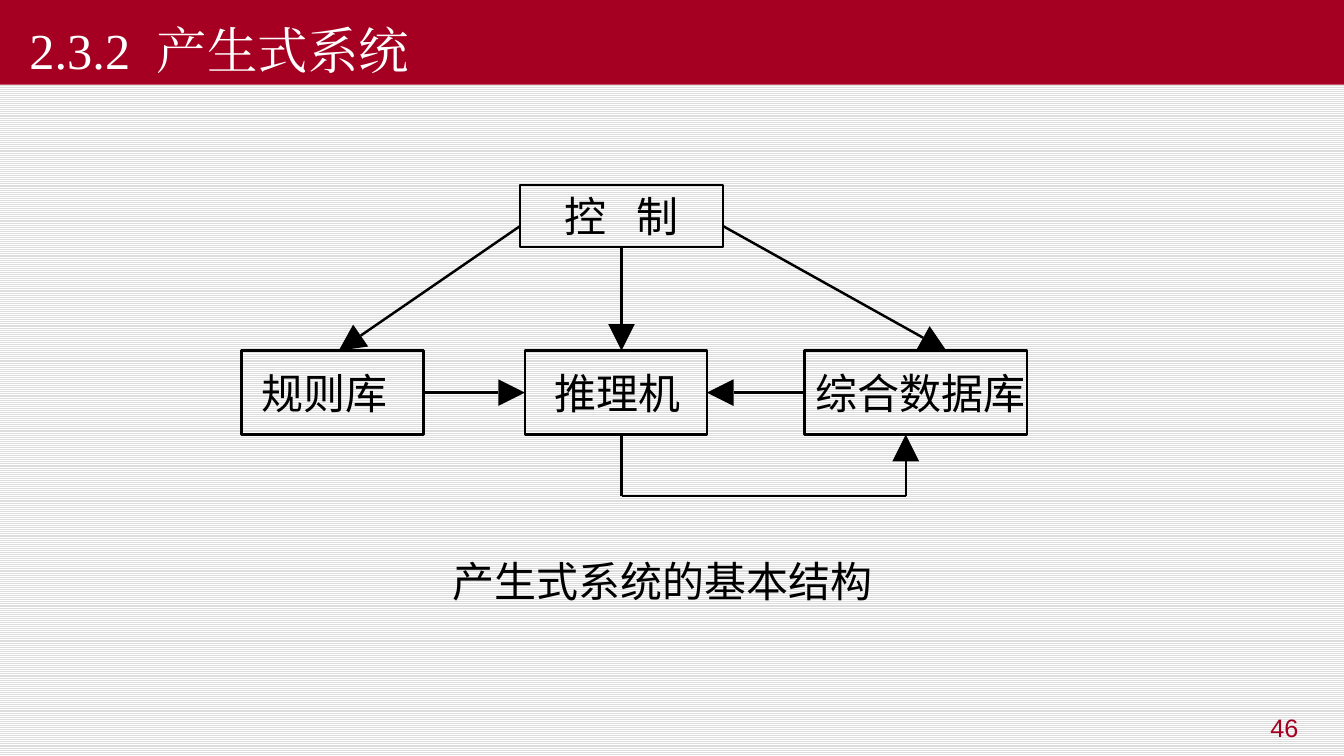
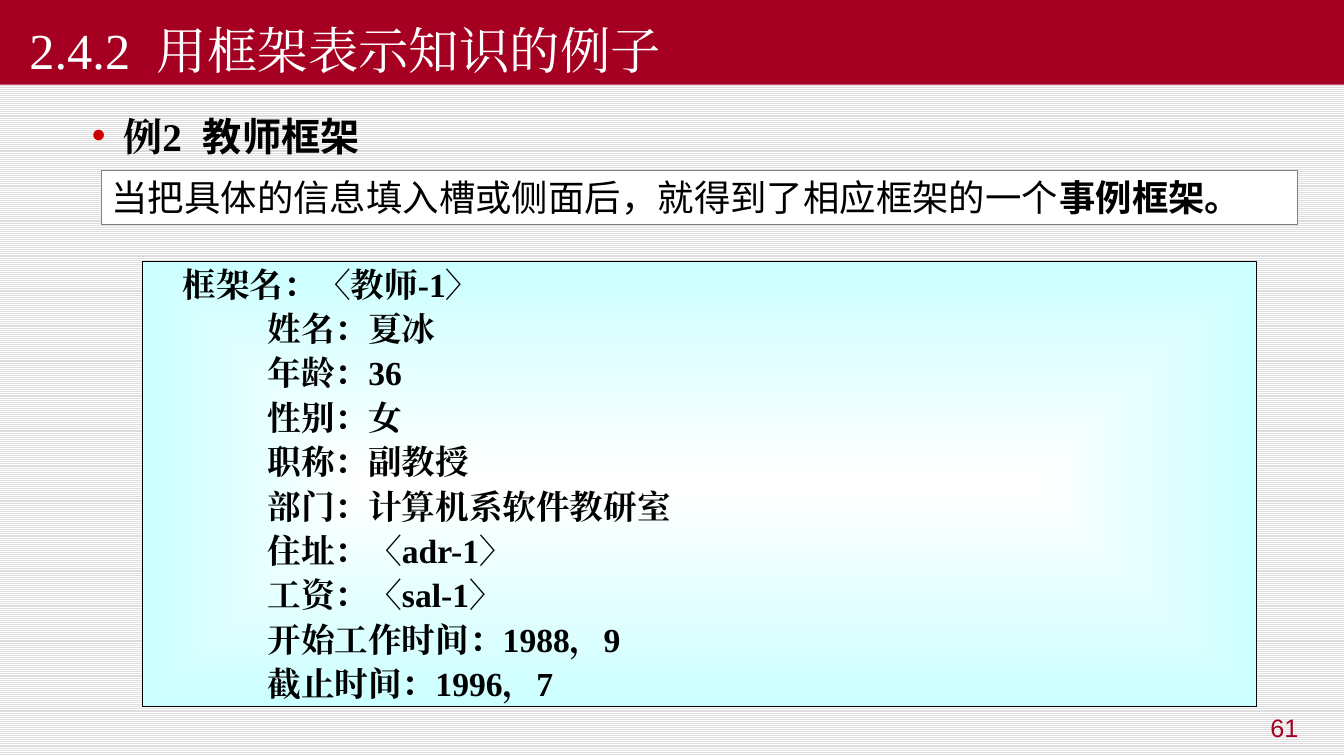
from math import hypot

from lxml import etree
from pptx import Presentation
from pptx.dml.color import RGBColor
from pptx.enum import dml, shapes, text
from pptx.oxml import ns
from pptx.util import Pt

CRIMSON = RGBColor(0xA5, 0x00, 0x21)
WHITE = RGBColor(0xFF, 0xFF, 0xFF)
BLACK = RGBColor(0x00, 0x00, 0x00)
STRIPE = RGBColor(0xDD, 0xDD, 0xDD)
GRAY = RGBColor(0x80, 0x80, 0x80)
CYAN = RGBColor(0xCC, 0xFF, 0xFF)
BULLET_RED = RGBColor(0xCC, 0x00, 0x00)
SERIF, SANS, CJK = "Times New Roman", "Arial", "Noto Sans CJK SC"
WIDTH, HEIGHT, BAND = 960, 540, 60.5
LINE, HEAD = 1.75, 19

FRAME_NAME = "框架名：〈教师-1〉"
SLOTS = ["姓名：夏冰", "年龄：36", "性别：女", "职称：副教授", "部门：计算机系软件教研室",
         "住址：〈adr-1〉", "工资：〈sal-1〉", "开始工作时间：1988，9", "截止时间：1996，7"]


def pts(*values):
    return [Pt(v) for v in values]


def sub(parent, tag, **attrs):
    return etree.SubElement(parent, ns.qn(tag), attrs)


def add_run(p, words, font, size, color=BLACK, bold=False, spacing=0):
    r = p.add_run()
    r.text = words
    r.font.name, r.font.size, r.font.bold = font, Pt(size), bold
    r.font.color.rgb = color
    rPr = r.font._element
    sub(rPr, "a:ea", typeface=font)
    if spacing:
        rPr.set("spc", str(round(spacing * 100)))


def frame(sp, anchor=text.MSO_ANCHOR.TOP, insets=(7.2, 3.6, 7.2, 3.6)):
    tf = sp.text_frame
    tf.word_wrap = True
    tf.auto_size = text.MSO_AUTO_SIZE.NONE
    tf.vertical_anchor = anchor
    tf.margin_left, tf.margin_top, tf.margin_right, tf.margin_bottom = pts(*insets)
    p = tf.paragraphs[0]
    p.alignment = text.PP_ALIGN.LEFT
    return p


def add_rect(s, box, line, width, fill=None):
    sp = s.shapes.add_shape(shapes.MSO_SHAPE.RECTANGLE, *pts(*box))
    sp.shadow.inherit = False
    sp.line.color.rgb, sp.line.width = line, Pt(width)
    if fill is None:
        sp.fill.background()
    else:
        sp.fill.solid()
        sp.fill.fore_color.rgb = fill
    return sp


def add_line(s, start, end):
    c = s.shapes.add_connector(shapes.MSO_CONNECTOR.STRAIGHT, *pts(*start, *end))
    c.line.color.rgb, c.line.width = BLACK, Pt(LINE)
    sub(c._element.spPr, "a:effectLst")
    return c


def add_arrow(s, start, tip, source=None, site=0):
    (x0, y0), (x1, y1) = start, tip
    length = hypot(x1 - x0, y1 - y0)
    ux, uy = (x1 - x0) / length, (y1 - y0) / length
    bx, by = x1 - HEAD * ux, y1 - HEAD * uy
    c = add_line(s, start, (bx, by))
    if source is not None:
        c.begin_connect(source, site)
    half = HEAD / 2
    fb = s.shapes.build_freeform(Pt(x1), Pt(y1))
    fb.add_line_segments([pts(bx - half * uy, by + half * ux),
                          pts(bx + half * uy, by - half * ux)], close=True)
    head = fb.convert_to_shape()
    head.shadow.inherit = False
    head.fill.solid()
    head.fill.fore_color.rgb = BLACK
    head.line.fill.background()


def add_base(prs, section, title, number):
    s = prs.slides.add_slide(prs.slide_layouts[5])
    sp = s.shapes.title
    sp.left, sp.top, sp.width, sp.height = pts(0, 0, WIDTH, BAND)
    sp.fill.solid()
    sp.fill.fore_color.rgb = CRIMSON
    p = frame(sp, text.MSO_ANCHOR.BOTTOM, (21, 3.6, 7.2, 3.6))
    add_run(p, section, SERIF, 36, WHITE)
    add_run(p, " ", SERIF, 36, WHITE, spacing=10)
    add_run(p, title, SERIF, 36, WHITE)
    p = frame(s.shapes.add_textbox(*pts(710.5, 505.5, 224, 34.5)))
    p.alignment = text.PP_ALIGN.RIGHT
    add_run(p, number, SANS, 18, CRIMSON)
    return s


def add_node(s, box, inset, *parts):
    sp = add_rect(s, box, BLACK, LINE)
    p = frame(sp, text.MSO_ANCHOR.MIDDLE, (inset, 0, 0, 0))
    for words, spacing in parts:
        add_run(p, words, CJK, 30, spacing=spacing)
    return sp


def add_structure(s, box):
    x, y, w, h = box
    row, node_w, node_h, data_w = y + 118.5, 130, 60, 159
    mid, low = row + node_h / 2, row + node_h
    engine_x, data_x = x + 202.5, x + w - data_w
    control_x, control_w, control_h = x + 199, 145, 44.5
    stem, turn = control_x + control_w / 2, x + 474.5
    shoulder, floor = y + 29.5, y + h

    control = add_node(s, (control_x, y, control_w, control_h), 32,
                       ("控", 0), (" ", 14.5), ("制", 0))
    rules = add_node(s, (x, row, node_w, node_h), 14.5, ("规则库", 0))
    add_node(s, (engine_x, row, node_w, node_h), 21, ("推理机", 0))
    data = add_node(s, (data_x, row, data_w, node_h), 8, ("综合数据库", 0))

    add_arrow(s, (control_x, shoulder), (x + 69.5, row))
    add_arrow(s, (stem, y + control_h), (stem, row), control, 2)
    add_arrow(s, (control_x + control_w, shoulder), (x + 503.5, row))
    add_arrow(s, (x + node_w, mid), (engine_x, mid), rules, 3)
    add_arrow(s, (data_x, mid), (engine_x + node_w, mid), data, 1)
    add_line(s, (stem, low), (stem, floor))
    add_line(s, (stem, floor), (turn, floor))
    add_arrow(s, (turn, floor), (turn, low))


def add_caption(s, box):
    p = frame(s.shapes.add_textbox(*pts(*box)), text.MSO_ANCHOR.MIDDLE, (0, 0, 0, 0))
    add_run(p, "产生式系统的基本结构", CJK, 30)


def add_example_heading(s, box):
    p = frame(s.shapes.add_textbox(*pts(*box)))
    p.line_spacing = 1.1
    pPr = p._p.get_or_add_pPr()
    pPr.set("marL", str(Pt(22.5)))
    pPr.set("indent", str(-Pt(22.5)))
    color = sub(pPr, "a:buClr")
    sub(color, "a:srgbClr", val=str(BULLET_RED))
    sub(pPr, "a:buFont", typeface=SANS)
    sub(pPr, "a:buChar", char="•")
    add_run(p, "例2", SERIF, 28, bold=True)
    add_run(p, " ", SERIF, 28, bold=True, spacing=8)
    add_run(p, "教师框架", SANS, 28, bold=True)


def add_statement(s, box):
    sp = add_rect(s, box, GRAY, 0.75, WHITE)
    p = frame(sp, text.MSO_ANCHOR.MIDDLE)
    add_run(p, "当把具体的信息填入槽或侧面后，就得到了相应框架的一个", SANS, 26)
    add_run(p, "事例框架。", SANS, 26, bold=True)


def add_teacher_frame(s, box):
    sp = add_rect(s, box, BLACK, 0.75)
    sp.fill.gradient()
    for stop, position, color in zip(sp.fill.gradient_stops, (0, 1), (WHITE, CYAN)):
        stop.position, stop.color.rgb = position, color
    grad = sp._element.spPr.find(ns.qn("a:gradFill"))
    grad.remove(grad.find(ns.qn("a:lin")))
    centre = sub(grad, "a:path", path="shape")
    sub(centre, "a:fillToRect", l="50000", t="50000", r="50000", b="50000")

    p = frame(sp, insets=(7.2, 5, 7.2, 3.6))
    for i, words in enumerate([FRAME_NAME] + SLOTS):
        if i:
            p = sp.text_frame.add_paragraph()
            p.alignment = text.PP_ALIGN.LEFT
            p.space_before = Pt(5.8)
        p.line_spacing = 0.9
        pPr = p._p.get_or_add_pPr()
        pPr.set("marL", str(Pt(82 if i else 21.5)))
        pPr.set("indent", "0")
        add_run(p, words, SERIF, 24, bold=True)


def main():
    prs = Presentation()
    prs.slide_width, prs.slide_height = pts(WIDTH, HEIGHT)
    fill = prs.slide_master.background.fill
    fill.patterned()
    fill.pattern = dml.MSO_PATTERN.LIGHT_HORIZONTAL
    fill.fore_color.rgb, fill.back_color.rgb = STRIPE, WHITE

    s = add_base(prs, "2.3.2", "产生式系统", "46")
    add_structure(s, (172.5, 132, 561, 222.5))
    add_caption(s, (323.5, 397, 305, 36))

    s = add_base(prs, "2.4.2", "用框架表示知识的例子", "61")
    add_example_heading(s, (58.5, 73, 345.5, 44))
    add_statement(s, (72.5, 121.5, 854, 39))
    add_teacher_frame(s, (102, 186.5, 795.5, 318.5))
    prs.save("out.pptx")


if __name__ == "__main__":
    main()
